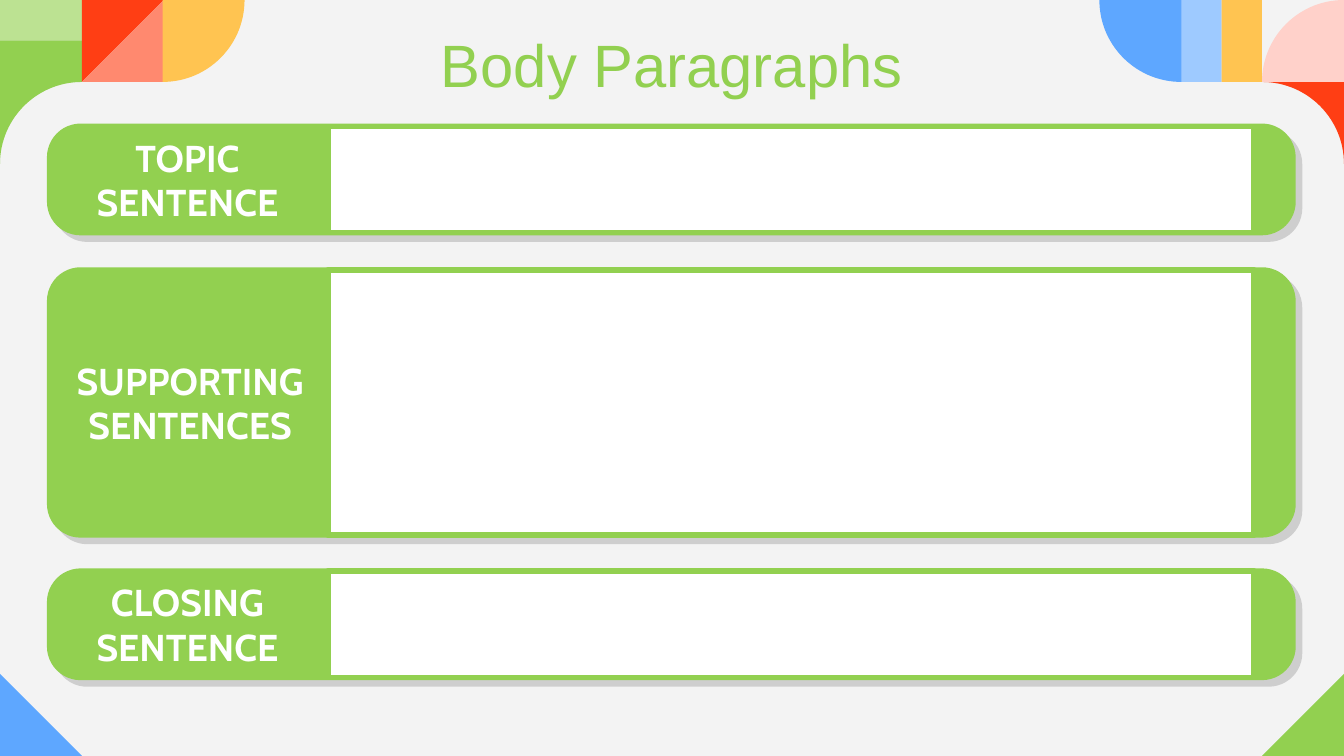
from math import cos, radians, sin
from lxml.etree import SubElement
from pptx import Presentation
from pptx.dml.color import RGBColor
from pptx.enum.shapes import MSO_SHAPE
from pptx.enum.text import MSO_ANCHOR, MSO_AUTO_SIZE, PP_ALIGN
from pptx.oxml.ns import qn
from pptx.util import Inches, Pt

GREEN, BLUE, RED, YELLOW, WHITE = "92D050", "5EA7FF", "FF3E14", "FFC451", "FFFFFF"
SIDE = 0.61
WIDE = 10
TALL = WIDE * 9 / 16


def paint(shape, fill, line=None):
    shape.shadow.inherit = False
    shape.fill.solid()
    shape.fill.fore_color.rgb = RGBColor.from_string(fill)
    if line:
        shape.line.color.rgb = RGBColor.from_string(line)
        shape.line.width = Pt(3)
    else:
        shape.line.fill.background()


def write(shape, text, size, face, color, anchor):
    frame = shape.text_frame
    frame.text = text
    frame.word_wrap = True
    frame.auto_size = MSO_AUTO_SIZE.NONE
    frame.vertical_anchor = anchor
    para = frame.paragraphs[0]
    para.alignment = PP_ALIGN.CENTER
    font = para.runs[0].font
    font.size, font.name = Pt(size), face
    font.color.rgb = RGBColor.from_string(color)
    return font


deck = Presentation()
deck.slide_width, deck.slide_height = Inches(WIDE), Inches(TALL)
slide = deck.slides.add_slide(deck.slide_layouts[5])
slide.background.fill.solid()
slide.background.fill.fore_color.rgb = RGBColor.from_string("F3F3F3")
shapes = slide.shapes

tiles = [
    (8.78, 0, 0.31, SIDE, "9ECAFF"),
    (9.09, 0, 0.3, SIDE, YELLOW),
    (0, 0, SIDE, 0.3, "BCE292"),
    (0, 0.3, SIDE, 0.31, GREEN),
]
for left, top, width, height, color in tiles:
    tile = shapes.add_shape(
        MSO_SHAPE.RECTANGLE, Inches(left), Inches(top), Inches(width), Inches(height))
    paint(tile, color)

pieces = [
    ([(WIDE - SIDE, TALL), (WIDE, TALL - SIDE), (WIDE, TALL)], GREEN),
    ([(SIDE, TALL), (0, TALL - SIDE), (0, TALL)], BLUE),
    ([(1.22, 0), (0.61, 0.61), (0.61, 0)], RED),
    ([(1.22, 0.61), (0.61, 0.61), (1.22, 0)], "FF896F"),
]
curves = [
    ((10, 0.61), (9.39, 1.22), 270, RED),
    ((8.79, 0), (8.79, 0), 90, BLUE),
    ((0, 0.61), (0.61, 1.22), 180, GREEN),
    ((1.21, 0), (1.21, 0), 0, YELLOW),
    ((10, 0.61), (10, 0.61), 180, "FFD1CA"),
]
for tip, (x, y), start, color in curves:
    turns = [radians(start + step) for step in range(0, 91, 3)]
    arc = [(x + SIDE * cos(turn), y + SIDE * sin(turn)) for turn in turns]
    pieces.append(([tip] + arc, color))

for points, color in pieces:
    spots = [(Inches(x), Inches(y)) for x, y in points]
    pen = shapes.build_freeform(*spots[0])
    pen.add_line_segments(spots[1:], close=True)
    paint(pen.convert_to_shape(), color)

rows = [
    ("TOPIC SENTENCE", 0.94, 0.79, 0.51),
    ("SUPPORTING SENTENCES", 2.01, 1.97, 0.53),
    ("CLOSING SENTENCE", 4.25, 0.79, 0.51),
]
for text, top, height, left in rows:
    card = shapes.add_shape(
        MSO_SHAPE.ROUNDED_RECTANGLE, Inches(0.37), Inches(top), Inches(9.25), Inches(height))
    card.adjustments[0] = 0.23 / height
    paint(card, GREEN, GREEN)
    effects = card.element.spPr.find(qn("a:effectLst"))
    shade = SubElement(effects, qn("a:outerShdw"), dist=str(Pt(5)), dir="2700000",
                       algn="tl", rotWithShape="0")
    black = SubElement(shade, qn("a:srgbClr"), val="000000")
    SubElement(black, qn("a:alpha"), val="15000")

    field = shapes.add_shape(
        MSO_SHAPE.ROUNDED_RECTANGLE, Inches(2.44), Inches(top), Inches(6.89), Inches(height))
    field.adjustments[0] = 0
    paint(field, WHITE, GREEN)

    label = shapes.add_textbox(
        Inches(left), Inches(top + (height - 0.79) / 2), Inches(1.77), Inches(0.79))
    frame = label.text_frame
    frame.margin_left = frame.margin_right = frame.margin_top = frame.margin_bottom = 0
    write(label, text, 20, "Cabin", WHITE, MSO_ANCHOR.MIDDLE).bold = True

title = shapes.title
title.left, title.top = Inches(2.07), Inches(0.16)
title.width, title.height = Inches(5.86), Inches(0.64)
write(title, "Body Paragraphs", 32, "Arial", GREEN, MSO_ANCHOR.TOP)

deck.save("out.pptx")
